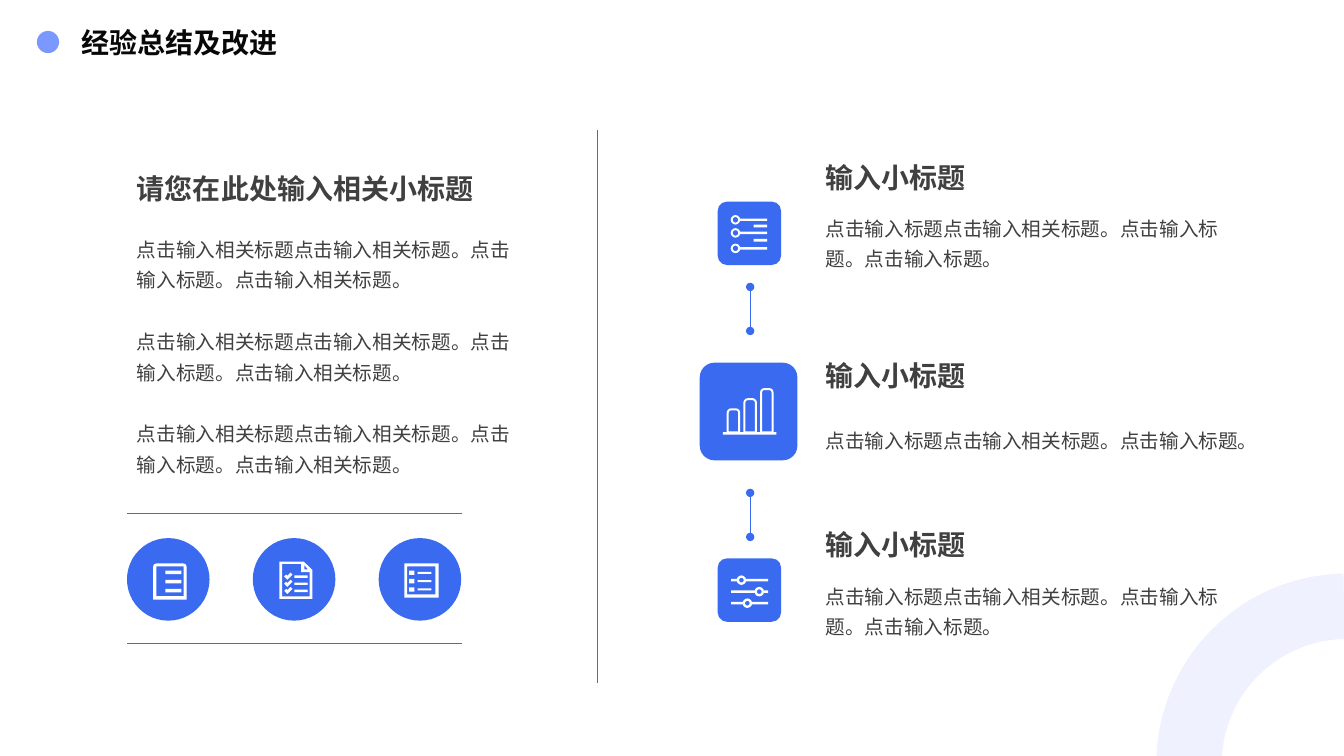
import math
from lxml import etree
from pptx import Presentation
from pptx import util as u
from pptx.dml.color import RGBColor
from pptx.enum import shapes, text
from pptx.oxml import ns

BLUE = RGBColor(0x3A, 0x6A, 0xEF)
DOT_BLUE = RGBColor(0x7B, 0x98, 0xFF)
RING_BLUE = RGBColor(0x97, 0xAD, 0xFC)
WHITE = RGBColor(0xFF, 0xFF, 0xFF)
BLACK = RGBColor(0x08, 0x08, 0x08)
GREY = RGBColor(0x40, 0x40, 0x40)
FONT = "Noto Sans CJK SC"
OVAL = shapes.MSO_SHAPE.OVAL
TILE = shapes.MSO_SHAPE.ROUNDED_RECTANGLE


def arc(x, y, radius, start, end, steps):
    angles = [math.radians(start + (end - start) * i / steps) for i in range(steps + 1)]
    return [(x + radius * math.cos(a), y + radius * math.sin(a)) for a in angles]


def bar(left, top, width, height, radius=0.0):
    right, bottom = left + width, top + height
    foot = [(right, bottom), (left, bottom)]
    if not radius:
        return [(left, top), (right, top)] + foot
    return (arc(left + radius, top + radius, radius, 180, 270, 3)
            + arc(right - radius, top + radius, radius, 270, 360, 3) + foot)


def ring(x, y, outer, inner):
    return [arc(x, y, radius, 0, 330, 11) for radius in (outer, inner)]


class SlideBuilder:
    def __init__(self, slide):
        self.shapes = slide.shapes

    def paint(self, shape, color):
        shape.fill.solid()
        shape.fill.fore_color.rgb = color
        shape.line.fill.background()
        shape.shadow.inherit = False
        return shape

    def preset(self, kind, left, top, size, color=BLUE):
        shape = self.shapes.add_shape(kind, u.Cm(left), u.Cm(top), u.Cm(size), u.Cm(size))
        if kind == TILE:
            shape.adjustments[0] = 0.15
        return self.paint(shape, color)

    def outline(self, contours, color=WHITE):
        contours = [[(u.Cm(x), u.Cm(y)) for x, y in contour] for contour in contours]
        builder = self.shapes.build_freeform(*contours[0][0])
        for index, contour in enumerate(contours):
            if index:
                builder.move_to(*contour[0])
            builder.add_line_segments(contour[1:], close=True)
        return self.paint(builder.convert_to_shape(), color)

    def line(self, x1, y1, x2, y2, weight=0.5, dots=False):
        connector = self.shapes.add_connector(
            shapes.MSO_CONNECTOR.STRAIGHT, u.Cm(x1), u.Cm(y1), u.Cm(x2), u.Cm(y2))
        connector.line.color.rgb = BLUE
        connector.line.width = u.Pt(weight)
        properties = connector._element.spPr
        if dots:
            for tag in ("a:headEnd", "a:tailEnd"):
                etree.SubElement(properties.find(ns.qn("a:ln")), ns.qn(tag), type="oval")
        etree.SubElement(properties, ns.qn("a:effectLst"))

    def text(self, box, paragraphs, size=14, color=GREY, bold=False, spacing=None, gap=0, middle=False):
        frame = self.shapes.add_textbox(*map(u.Cm, box)).text_frame
        frame.word_wrap = True
        if middle:
            frame.vertical_anchor = text.MSO_ANCHOR.MIDDLE
        frame.text = "\n".join(paragraphs)
        for index, paragraph in enumerate(frame.paragraphs):
            if spacing:
                paragraph.line_spacing = u.Pt(spacing)
            if index and gap:
                paragraph.space_before = u.Pt(gap)
            for run in paragraph.runs:
                run.font.name = FONT
                run.font.size = u.Pt(size)
                run.font.bold = bold
                run.font.color.rgb = color
                etree.SubElement(run.font._element, ns.qn("a:ea"), typeface=FONT)

    def heading(self, box, words):
        self.text(box, [words], size=20, bold=True, middle=True)

    def body(self, box, paragraphs):
        self.text(box, paragraphs, spacing=22, gap=22)


def list_icon():
    return [bar(3.86, 14.2, 0.84, 0.91, 0.08), bar(3.94, 14.27, 0.69, 0.75)] + [
        bar(4.17, 14.38 + 0.23 * i, 0.4, 0.09) for i in range(3)]


def checklist_icon():
    contours = [
        [(7.04, 14.15), (7.65, 14.15), (7.87, 14.36), (7.87, 15.09), (7.04, 15.09)],
        [(7.11, 14.21), (7.59, 14.21), (7.59, 14.42), (7.8, 14.42), (7.8, 15.03), (7.11, 15.03)],
        [(7.67, 14.24), (7.67, 14.35), (7.76, 14.35)],
    ]
    tick = [(0.16, -0.07), (0.21, -0.02), (0.08, 0.11), (0, 0.03), (0.05, -0.02), (0.08, 0.01)]
    for y in (14.5, 14.68, 14.86):
        contours += [bar(7.42, y, 0.33, 0.06), [(7.16 + dx, y + dy) for dx, dy in tick]]
    return contours


def form_icon():
    contours = [bar(10.19, 14.2, 0.86, 0.86), bar(10.26, 14.27, 0.71, 0.71)]
    for y in (14.38, 14.59, 14.8):
        contours += [bar(10.31, y, 0.13, 0.11), bar(10.52, y + 0.03, 0.35, 0.05)]
    return contours


def nodes_icon():
    contours = [bar(18.99, y, 0.34, 0.07) for y in (5.66, 6.02)]
    for y in (5.54, 5.87, 6.26):
        contours += ring(18.53, y, 0.12, 0.07) + [bar(18.65, y - 0.03, 0.68, 0.06)]
    return contours


def sliders_icon():
    contours = []
    for x, y in ((18.68, 14.62), (19.13, 14.91), (18.83, 15.2)):
        contours += ring(x, y, 0.12, 0.06)
        for start, end in ((18.42, x - 0.12), (x + 0.12, 19.35)):
            contours.append(bar(start, y - 0.03, end - start, 0.06))
    return contours


def chart_icon():
    contours = [bar(18.21, 10.89, 1.35, 0.06)]
    for i in range(3):
        x, y = 18.31 + 0.42 * i, 10.29 - 0.255 * i
        contours += [bar(x, y, 0.34, 10.89 - y, 0.11),
                     bar(x + 0.05, y + 0.05, 0.24, 10.82 - y, 0.06)]
    return contours


def main():
    presentation = Presentation()
    presentation.slide_width = u.Cm(33.86)
    presentation.slide_height = u.Cm(19.05)
    builder = SlideBuilder(presentation.slides.add_slide(presentation.slide_layouts[6]))

    corner = arc(33.93, 19.25, 4.8, 180, 269, 18) + arc(33.93, 19.25, 3.15, 269, 180, 18)
    ring_shape = builder.outline([corner], RING_BLUE)
    ring_color = ring_shape._element.spPr.find(ns.qn("a:solidFill"))[0]
    etree.SubElement(ring_color, ns.qn("a:alpha"), val="15000")

    builder.preset(OVAL, 0.93, 0.78, 0.56, DOT_BLUE)
    builder.text((1.8, 0.83, 5.92, 0.84), ["经验总结及改进"], size=20, color=BLACK, bold=True, spacing=15)

    builder.heading((3.2, 4.19, 10.31, 1.12), "请您在此处输入相关小标题")
    builder.body((3.2, 5.68, 10.31, 6.43),
                 ["点击输入相关标题点击输入相关标题。点击输入标题。点击输入相关标题。"] * 3)
    for y in (12.93, 16.21):
        builder.line(3.2, y, 11.63, y)
    for i, icon in enumerate((list_icon, checklist_icon, form_icon)):
        builder.preset(OVAL, 3.2 + 3.17 * i, 13.56, 2.08)
        builder.outline(icon())

    builder.line(15.06, 3.28, 15.06, 17.22)
    long_text = "点击输入标题点击输入相关标题。点击输入标题。点击输入标题。"
    short_text = "点击输入标题点击输入相关标题。点击输入标题。"
    steps = [
        (18.08, 5.08, 1.6, nodes_icon, 3.81, 5.15, 10.59, 3.23, long_text),
        (17.63, 9.14, 2.46, chart_icon, 8.79, 10.5, 11.1, 1.55, short_text),
        (18.08, 14.07, 1.6, sliders_icon, 13.06, 14.42, 10.59, 3.15, long_text),
    ]
    for left, top, size, icon, heading_top, body_top, width, height, words in steps:
        builder.preset(TILE, left, top, size)
        builder.outline(icon())
        builder.heading((20.55, heading_top, 10.59, 1.32), "输入小标题")
        builder.body((20.55, body_top, width, height), [words])
    for top in (7.23, 12.42):
        builder.line(18.9, top, 18.9, top + 1.11, weight=0.25, dots=True)

    presentation.save("out.pptx")


if __name__ == "__main__":
    main()
